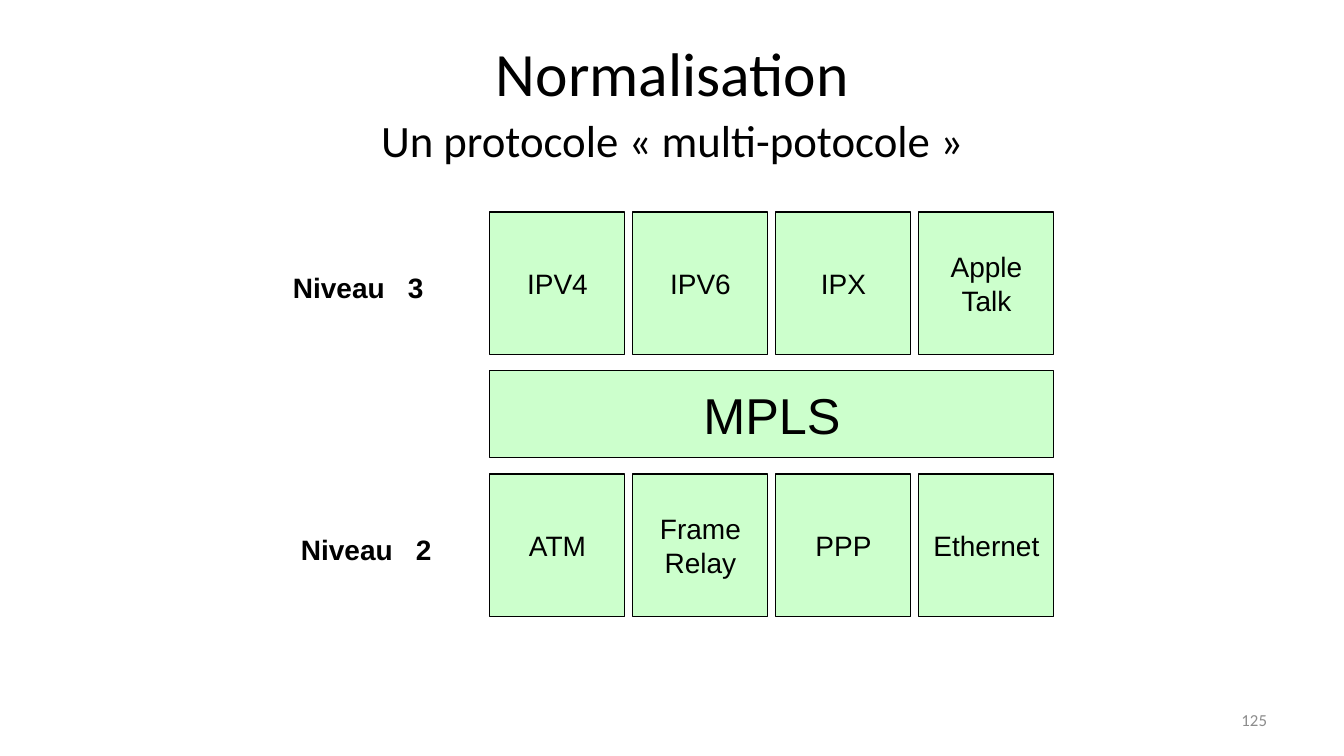
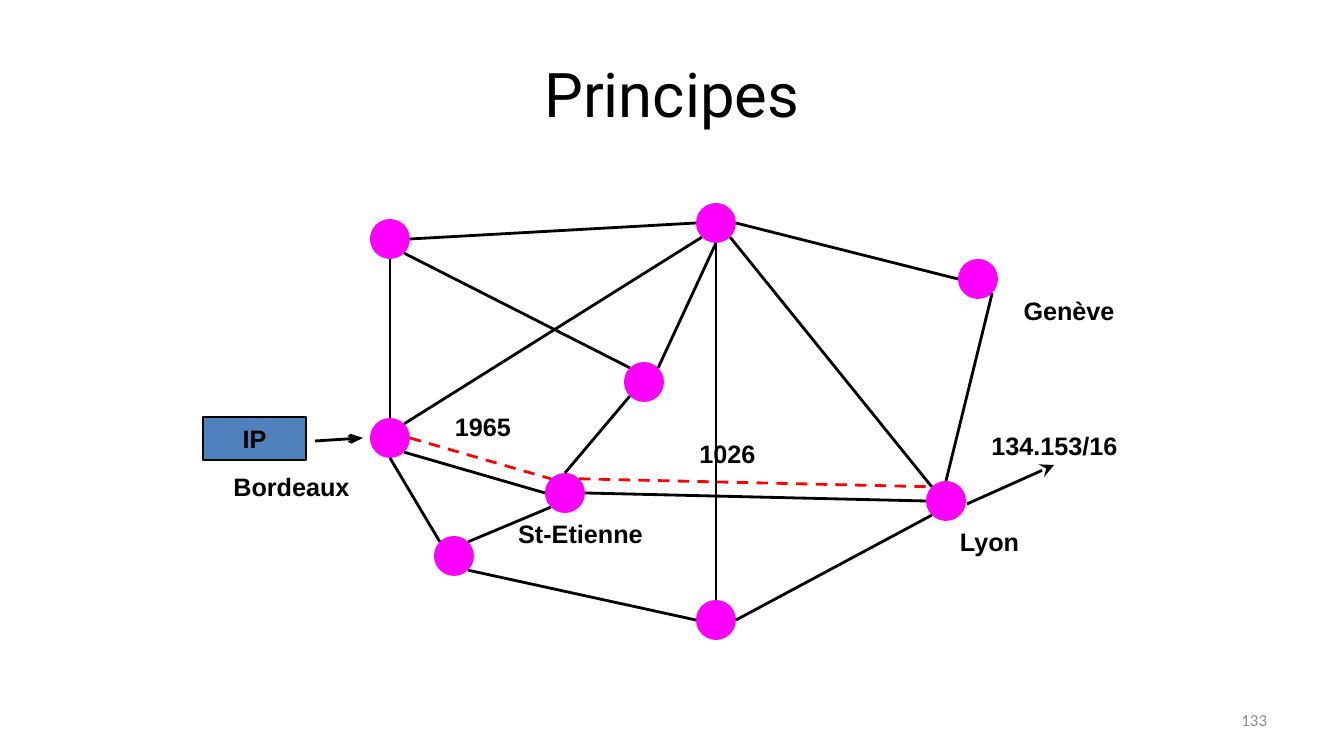
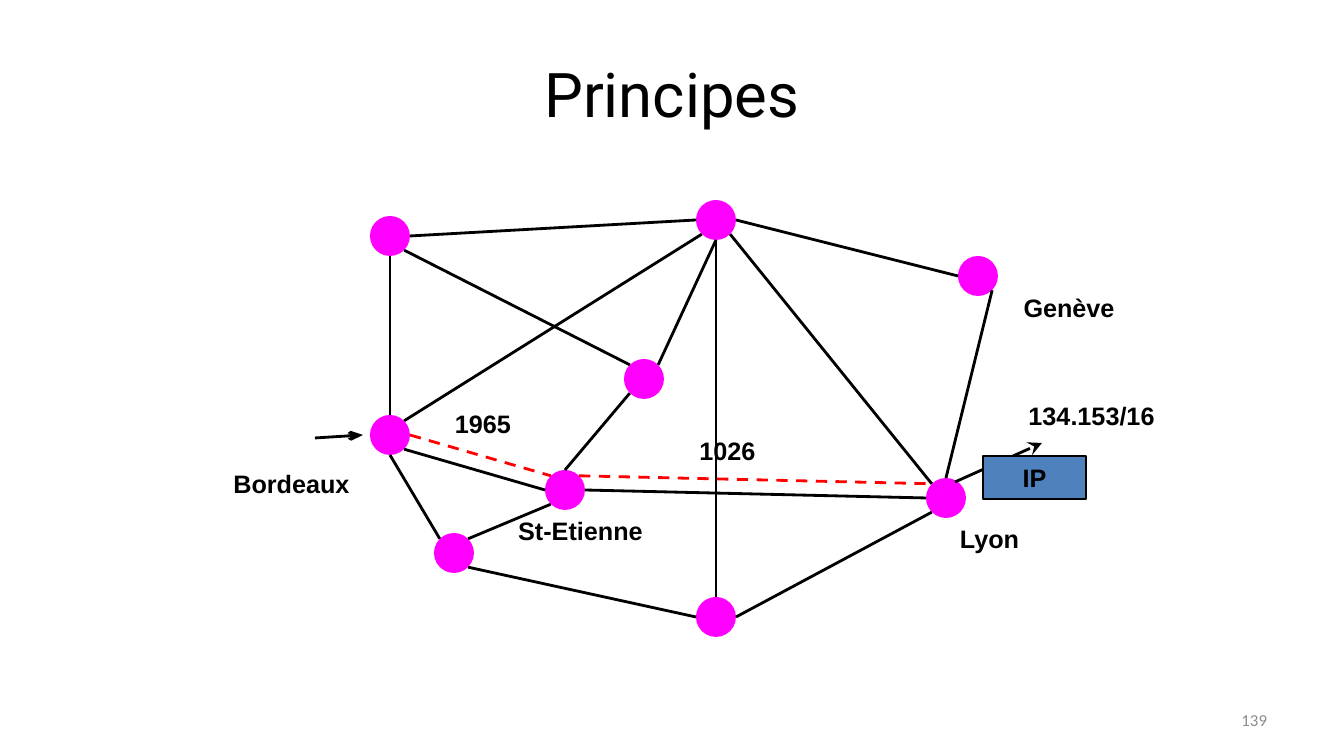
from lxml.etree import SubElement
from pptx import Presentation
from pptx.dml.color import RGBColor
from pptx.enum.dml import MSO_LINE
from pptx.enum.shapes import MSO_CONNECTOR, MSO_SHAPE
from pptx.enum.text import MSO_ANCHOR as ANCHOR, MSO_AUTO_SIZE, PP_ALIGN as ALIGN
from pptx.oxml.ns import qn
from pptx.util import Pt

SCALE = 12192000 / 1344
BLACK, GREY, RED = "000000", "8C8C8C", "FF0000"
GREEN, BLUE, MAGENTA = "CCFFCC", "4F81BD", "FF00FF"
BODY_FONT, HEAD_FONT = "Arial", "Calibri"
WIDE_TITLE = (67, 30, 1210, 126)
NARROW_TITLE = (219, 30, 907, 126)
PAGE_NUMBER = (964, 700, 313, 40)

NODE = 40
NODES = {
    "bordeaux": (187, 235), "northwest": (187, 36), "north": (513, 20),
    "geneve": (775, 76), "lyon": (743, 298), "middle": (441, 179),
    "etienne": (362, 290), "southwest": (251, 353), "south": (513, 417),
}
SITES = {
    "n": (0, -1), "ne": (0.71, -0.71), "e": (1, 0), "se": (0.71, 0.71),
    "s": (0, 1), "sw": (-0.71, 0.71), "w": (-1, 0), "nw": (-0.71, -0.71),
}
LINKS = [
    ("bordeaux", "n", "northwest", "s"), ("middle", "nw", "northwest", "se"),
    ("northwest", "e", "north", "w"), ("bordeaux", "ne", "north", "sw"),
    ("middle", "ne", "north", "s"), ("lyon", "n", "geneve", "se"),
    ("etienne", "w", "bordeaux", "se"), ("etienne", "n", "middle", "sw"),
    ("etienne", "e", "lyon", "w"), ("lyon", "nw", "north", "se"),
    ("southwest", "ne", "etienne", "sw"), ("south", "w", "southwest", "se"),
    ("north", "s", "south", "n"), ("lyon", "sw", "south", "e"),
    ("geneve", "w", "north", "e"), ("southwest", "nw", "bordeaux", "s"),
]
LABEL_PATH = [("bordeaux", "e", "etienne", "nw"), ("etienne", "ne", "lyon", "nw")]
LABELS = [
    ("1965", 240, 203, 80), ("1026", 453, 230, 143), ("Bordeaux", 17, 263, 143),
    ("St-Etienne", 302, 310, 151), ("Lyon", 715, 318, 143), ("Genève", 779, 87, 174),
]


def px(n):
    """Turn px into EMU."""
    return round(n * SCALE)


def color(value):
    """Turn a hex string into a colour."""
    return RGBColor.from_string(value)


def write(shape, lines, size, font=BODY_FONT, ink=BLACK, bold=False,
          align=ALIGN.CENTER, anchor=ANCHOR.MIDDLE, wrap=True):
    """Fill a shape with one paragraph for each line."""
    tf = shape.text_frame
    tf.word_wrap = wrap
    tf.auto_size = MSO_AUTO_SIZE.NONE
    tf.vertical_anchor = anchor
    for i, line in enumerate(lines):
        p = tf.add_paragraph() if i else tf.paragraphs[0]
        p.alignment = align
        r = p.add_run()
        r.text = line
        r.font.size, r.font.name, r.font.bold = Pt(size), font, bold
        r.font.color.rgb = color(ink)


def add_text(s, box, text, size, **style):
    """Add a text box of one line."""
    sp = s.shapes.add_textbox(*map(px, box))
    write(sp, [text], size, **style)
    return sp


def add_block(s, kind, box, fill, weight=0):
    """Add a filled shape, outlined when it has a weight."""
    sp = s.shapes.add_shape(kind, *map(px, box))
    sp.shadow.inherit = False
    sp.fill.solid()
    sp.fill.fore_color.rgb = color(fill)
    if weight:
        sp.line.color.rgb = color(BLACK)
        sp.line.width = Pt(weight)
    else:
        sp.line.fill.background()
    return sp


def add_line(s, start, end, ink=BLACK, dashed=False, head=None):
    """Add a straight line; head is an arrowhead type and its width."""
    cx = s.shapes.add_connector(MSO_CONNECTOR.STRAIGHT, *map(px, (*start, *end)))
    cx.line.color.rgb = color(ink)
    cx.line.width = Pt(2)
    if dashed:
        cx.line.dash_style = MSO_LINE.DASH
    props = cx._element.spPr
    if head:
        kind, width = head
        SubElement(props.find(qn("a:ln")), qn("a:tailEnd"), type=kind, w=width, len="lg")
    SubElement(props, qn("a:effectLst"))


def add_slide(prs, title, number, box=WIDE_TITLE, font="Roboto", anchor=ANCHOR.MIDDLE):
    """Add a slide with its title and page number."""
    s = prs.slides.add_slide(prs.slide_layouts[5])
    sp = s.shapes.title
    sp.left, sp.top, sp.width, sp.height = map(px, box)
    write(sp, [title], 44, font=font, anchor=anchor)
    add_text(s, PAGE_NUMBER, number, 12, font=HEAD_FONT, ink=GREY, align=ALIGN.RIGHT)
    return s


def add_level(s, left, top, level):
    """Add a level label with its number at a tab stop."""
    sp = add_text(s, (left, top, 182, 43), f"Niveau\t{level}", 20, bold=True,
                  align=ALIGN.LEFT, anchor=ANCHOR.TOP)
    tabs = SubElement(sp.text_frame.paragraphs[0]._p.get_or_add_pPr(), qn("a:tabLst"))
    SubElement(tabs, qn("a:tab"), pos=str(px(115)), algn="l")


def add_stack(s, left, top, upper, middle, lower):
    """Draw two rows of protocols around one wide layer."""
    width, height, bar, gap, pitch = 135, 143, 87, 16, 143
    bar_top = top + height + gap
    for row_top, row in ((top, upper), (bar_top + bar + gap, lower)):
        for i, lines in enumerate(row):
            box = (left + i * pitch, row_top, width, height)
            write(add_block(s, MSO_SHAPE.RECTANGLE, box, GREEN, 0.75), lines, 20, wrap=False)
    box = (left, bar_top, (len(upper) - 1) * pitch + width, bar)
    write(add_block(s, MSO_SHAPE.RECTANGLE, box, GREEN, 0.75), [middle], 36, wrap=False)


def add_network(s, left, top, packet, prefix, exit_start):
    """Draw the network, its labelled path and the IP packet."""
    def at(point):
        """Move a point of the network onto the slide."""
        return left + point[0], top + point[1]

    def site(name, side):
        """Find a point on the rim of a node."""
        return at([c + d * NODE / 2 for c, d in zip(NODES[name], SITES[side])])

    for text, x, y, width in LABELS + [("134.153/16", *prefix, 159)]:
        add_text(s, (*at((x, y)), width, 40), text, 18, bold=True, anchor=ANCHOR.TOP)
    for x, y in NODES.values():
        corner = at((x - NODE / 2, y - NODE / 2))
        add_block(s, MSO_SHAPE.OVAL, (*corner, NODE, NODE), MAGENTA)
    for a, a_side, b, b_side in LINKS:
        add_line(s, site(a, a_side), site(b, b_side))
    for a, a_side, b, b_side in LABEL_PATH:
        add_line(s, site(a, a_side), site(b, b_side), RED, dashed=True)
    add_line(s, at((112, 238)), at((160, 235)), head=("arrow", "med"))
    x, y = exit_start
    add_line(s, at(exit_start), at((x + 87, y - 39)), head=("stealth", "lg"))
    sp = add_block(s, MSO_SHAPE.RECTANGLE, (*at(packet), 103, 43), BLUE, 2)
    write(sp, ["IP"], 18, bold=True, wrap=False)


def standards_slide(prs):
    """Build the slide on the protocol layers."""
    s = add_slide(prs, "Normalisation", "125", NARROW_TITLE, HEAD_FONT, ANCHOR.TOP)
    add_text(s, (219, 108, 907, 64), "Un protocole « multi-potocole »", 32,
             font=HEAD_FONT, anchor=ANCHOR.TOP)
    add_stack(s, 490, 212,
              [["IPV4"], ["IPV6"], ["IPX"], ["Apple", "Talk"]], "MPLS",
              [["ATM"], ["Frame", "Relay"], ["PPP"], ["Ethernet"]])
    add_level(s, 283, 266, 3)
    add_level(s, 291, 528, 2)


def network_slide(prs, number, top, **places):
    """Build a slide on label switching."""
    s = add_slide(prs, "Principes", number)
    add_network(s, 203, top, **places)


def main():
    """Build and save the presentation."""
    prs = Presentation()
    prs.slide_width, prs.slide_height = px(1344), px(756)
    standards_slide(prs)
    network_slide(prs, "133", 203, packet=(0, 214), prefix=(772, 222), exit_start=(764, 301))
    network_slide(prs, "139", 200, packet=(780, 256), prefix=(809, 195), exit_start=(752, 282))
    prs.save("out.pptx")


if __name__ == "__main__":
    main()
